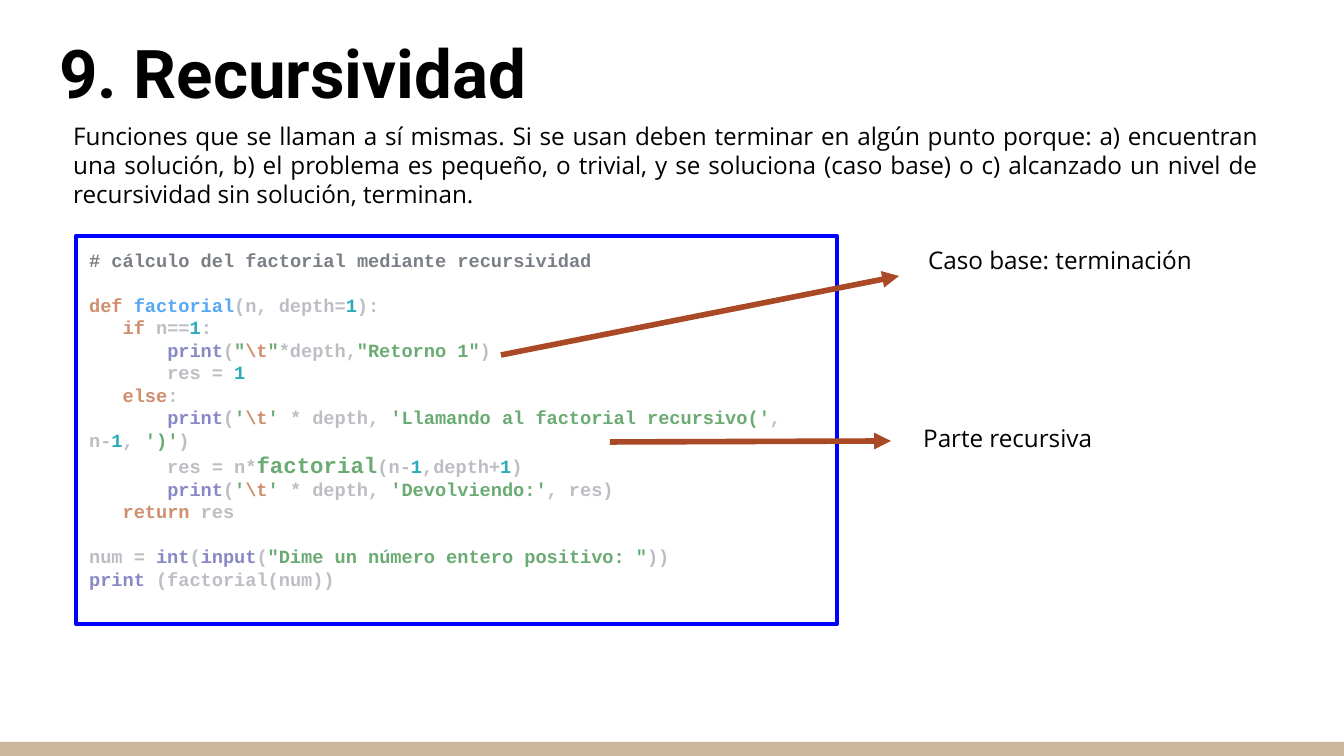
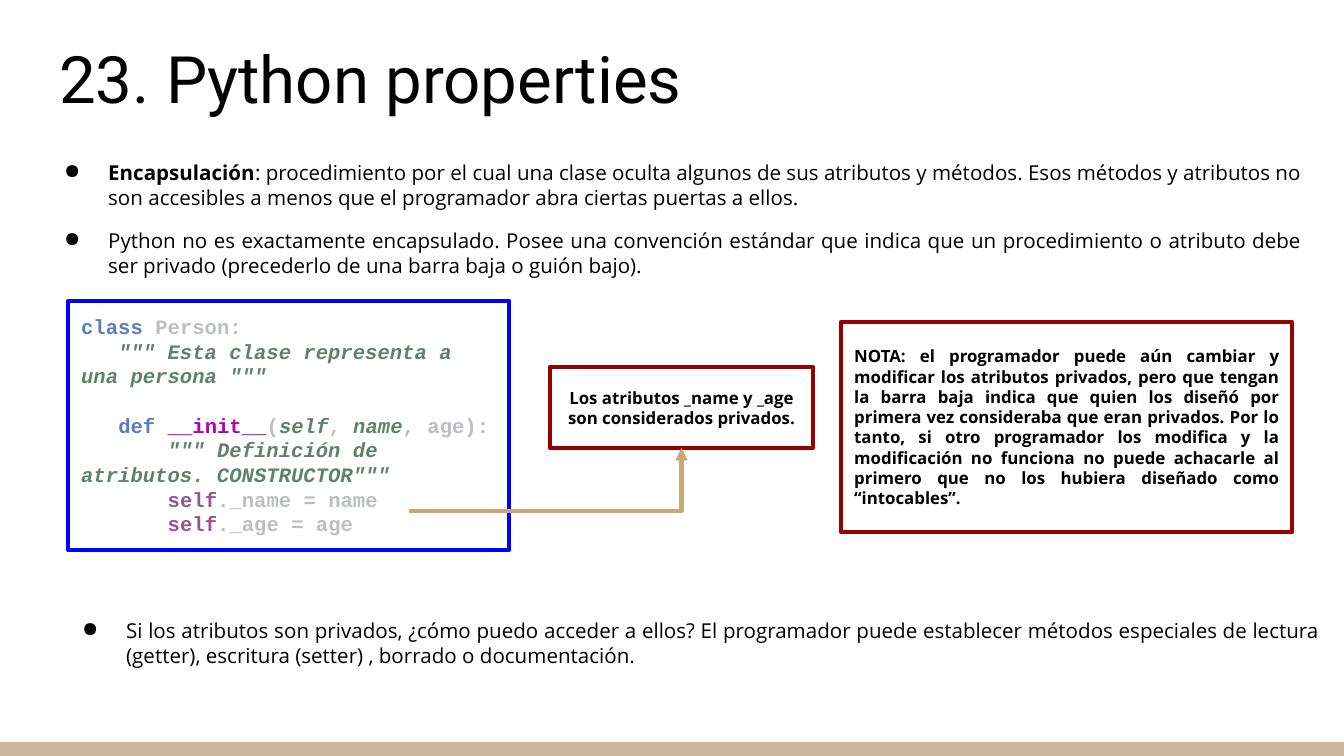
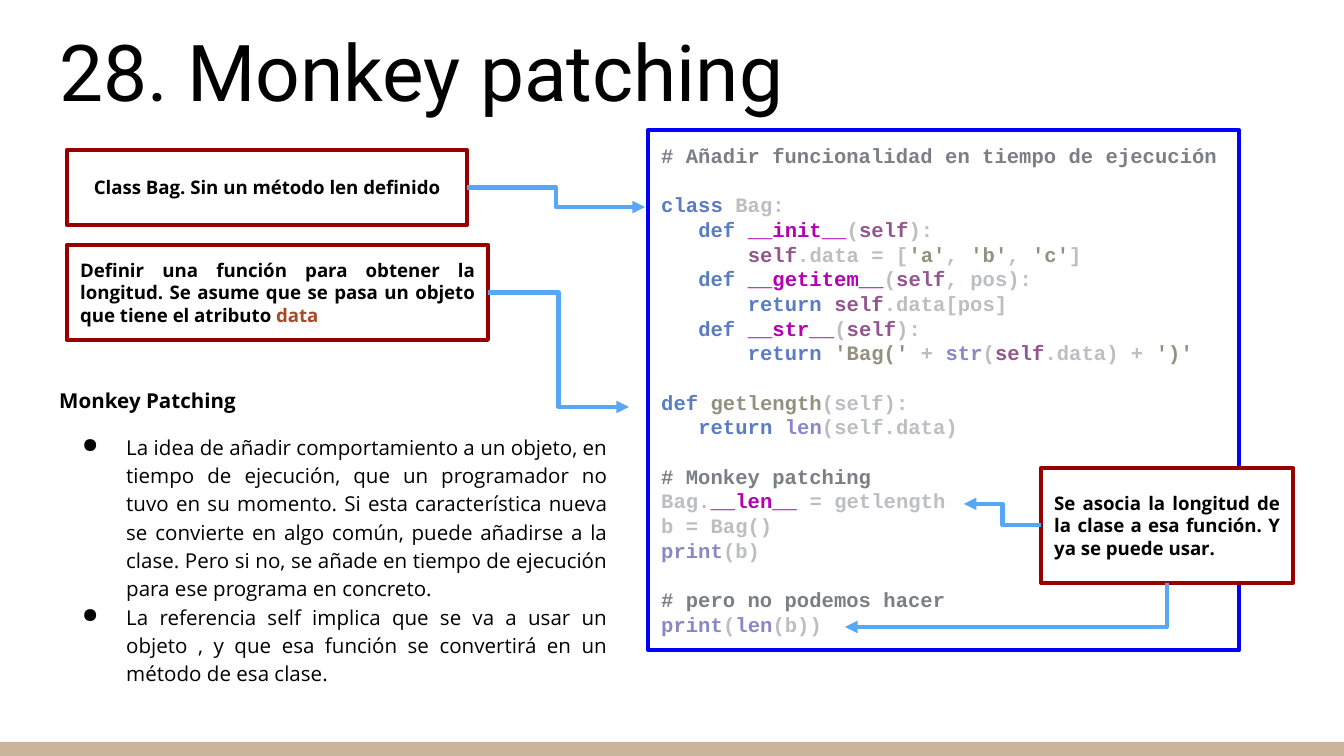
import dataclasses
import functools
import typing

import lxml.etree
import pptx
import pptx.dml.color
import pptx.enum.shapes
import pptx.enum.text
import pptx.oxml.ns
import pptx.util

WIDE, HIGH = 1344, 756
SCALE = 9144000 / WIDE
ALIGN = pptx.enum.text.PP_ALIGN
ANCHOR = pptx.enum.text.MSO_ANCHOR
LINK = pptx.enum.shapes.MSO_CONNECTOR
RECT = pptx.enum.shapes.MSO_SHAPE.RECTANGLE
qn = pptx.oxml.ns.qn


@dataclasses.dataclass(frozen=True)
class Theme:
    head: str = "Roboto"
    body: str = "Open Sans"
    mono: str = "Courier New"
    black: str = "000000"
    white: str = "FFFFFF"
    sand: str = "CCB69B"
    tan: str = "CCA677"
    frame: str = "0000FF"
    red: str = "980000"
    rust: str = "AA4926"
    sky: str = "56A8F5"
    grey: str = "7A7E85"
    pale: str = "BCBEC4"
    peach: str = "CF8E6D"
    teal: str = "2AACB8"
    green: str = "6AAB73"
    mauve: str = "8888C6"
    blue: str = "597CC2"
    moss: str = "5F826B"
    pink: str = "B200B2"
    plum: str = "94558D"
    olive: str = "94907F"
    lead: int = 13
    text: int = 11
    note: int = 10
    small: int = 9
    big: int = 12
    edge: float = 2.25
    thick: float = 3
    pitch: float = 1.2
    gap: int = 10
    loose: float = 1.15


T = Theme()


class Area(typing.NamedTuple):
    x: int
    y: int
    w: int
    h: int


class Pad(typing.NamedTuple):
    top: int = 13
    foot: int = 13


@dataclasses.dataclass(frozen=True)
class Run:
    text: str
    hue: str = T.black
    bold: bool = False
    slant: bool = False
    size: int = 0


@dataclasses.dataclass(frozen=True)
class Para:
    runs: typing.Sequence[Run]
    align: ALIGN = ALIGN.JUSTIFY
    dot: bool = False
    before: float = 0
    space: float = 1


@dataclasses.dataclass(frozen=True)
class Arrow:
    start: tuple[int, int]
    end: tuple[int, int]
    hue: str = T.sky
    width: float = T.edge
    kind: str = "bentConnector3"
    turned: bool = False


Code = list[list[list[Run]]]


def px(n: float) -> int:
    return round(n * SCALE)


def rgb(hue: str) -> pptx.dml.color.RGBColor:
    return pptx.dml.color.RGBColor.from_string(hue)


def add(parent, tag: str, **attrs: str):
    return lxml.etree.SubElement(parent, qn(tag), attrs)


def mark(para) -> None:
    props = para._p.get_or_add_pPr()
    props.set("marL", str(px(67)))
    props.set("indent", str(px(-44)))
    add(add(props, "a:buClr"), "a:srgbClr", val=T.black)
    add(props, "a:buChar", char="●")


def write(shape, paras: typing.Sequence[Para], font: str, size: int,
          anchor: ANCHOR = ANCHOR.MIDDLE, pad: Pad = Pad()) -> None:
    frame = shape.text_frame
    frame.word_wrap = True
    frame.vertical_anchor = anchor
    frame.margin_left = frame.margin_right = px(13.44)
    frame.margin_top, frame.margin_bottom = px(pad.top), px(pad.foot)
    for i, item in enumerate(paras):
        para = frame.add_paragraph() if i else frame.paragraphs[0]
        if item.dot:
            mark(para)
        para.alignment = item.align
        para.line_spacing = item.space
        para.space_before = pptx.util.Pt(item.before)
        para.space_after = pptx.util.Pt(0)
        for part in item.runs:
            run = para.add_run()
            run.text = part.text
            run.font.name = font
            run.font.size = pptx.util.Pt(part.size or size)
            run.font.bold = part.bold
            run.font.italic = part.slant
            run.font.color.rgb = rgb(part.hue)


def block(slide, area: Area, fill: str, edge: str = ""):
    shape = slide.shapes.add_shape(RECT, *map(px, area))
    shape.shadow.inherit = False
    shape.fill.solid()
    shape.fill.fore_color.rgb = rgb(fill)
    if edge:
        shape.line.color.rgb = rgb(edge)
        shape.line.width = pptx.util.Pt(T.edge)
        add(shape.element.spPr.find(qn("a:ln")), "a:round")
    else:
        shape.line.fill.background()
    return shape


def prose(slide, area: Area, paras: typing.Sequence[Para], size: int = T.text,
          font: str = T.body, anchor: ANCHOR = ANCHOR.MIDDLE,
          pad: Pad = Pad(0, 22)) -> None:
    box = slide.shapes.add_textbox(*map(px, area))
    write(box, paras, font, size, anchor, pad)


def label(slide, area: Area, text: str) -> None:
    prose(slide, area, [Para([Run(text)])], T.lead, anchor=ANCHOR.TOP, pad=Pad(0, 0))


def card(slide, area: Area, runs: list[Run], size: int = T.note,
         align: ALIGN = ALIGN.JUSTIFY):
    shape = block(slide, area, T.white, T.red)
    bold = [dataclasses.replace(run, bold=True) for run in runs]
    write(shape, [Para(bold, align)], T.body, size)
    return shape


def listing(slide, area: Area, code: Code, size: int = T.text) -> None:
    paras = [Para([dataclasses.replace(run, bold=True) for run in line], ALIGN.LEFT,
                  before=size * T.pitch if b and not i else 0)
             for b, part in enumerate(code) for i, line in enumerate(part)]
    write(block(slide, area, T.white, T.frame), paras, T.mono, size, ANCHOR.TOP)


def draw(slide, arrow: Arrow, source=None, side: int = 3, target=None) -> None:
    (x, y), (u, v) = arrow.start, arrow.end
    kind = LINK.STRAIGHT if arrow.kind == "line" else LINK.ELBOW
    link = slide.shapes.add_connector(kind, px(x), px(y), px(u), px(v))
    if source is not None:
        link.begin_connect(source, side)
    if target is not None:
        link.end_connect(target, 2)
    link.line.color.rgb = rgb(arrow.hue)
    link.line.width = pptx.util.Pt(arrow.width)
    props = link.element.spPr
    add(props.find(qn("a:ln")), "a:tailEnd", type="triangle")
    add(props, "a:effectLst")
    props.find(qn("a:prstGeom")).set("prst", arrow.kind)
    if arrow.turned:
        w, h = abs(v - y), abs(u - x)
        form = props.find(qn("a:xfrm"))
        form.attrib.pop("flipH", None)
        form.set("rot", "5400000")
        link.left, link.top = px((x + u - w) / 2), px((y + v - h) / 2)
        link.width, link.height = px(w), px(h)


def start(deck, title: str, top: int, high: int, size: int, bold: bool = False):
    slide = deck.slides.add_slide(deck.slide_layouts[6])
    block(slide, Area(0, 742, WIDE, 14), T.sand)
    prose(slide, Area(46, top, 1253, high), [Para([Run(title, bold=bold)], ALIGN.LEFT)],
          size, T.head, ANCHOR.BOTTOM, Pad())
    return slide


tint = functools.partial(functools.partial, Run)
grey, pale, peach, sky = (tint(hue=h) for h in (T.grey, T.pale, T.peach, T.sky))
teal, green, mauve, blue = (tint(hue=h) for h in (T.teal, T.green, T.mauve, T.blue))
pink, plum, olive = (tint(hue=h) for h in (T.pink, T.plum, T.olive))
moss = tint(hue=T.moss, slant=True)
STEP, DEEP = pale("   "), pale("       ")
TAB = [DEEP, mauve("print"), pale("("), green("'"), peach("\\t"), green("' "),
       pale("* depth, ")]


def method(name: str, rest: str) -> list[Run]:
    return [STEP, blue("def "), pink(name), pale("("), plum("self"), pale(rest)]


FACT: Code = [
    [[grey("# cálculo del factorial mediante recursividad")]],
    [
        [peach("def "), sky("factorial"), pale("(n, depth="), teal("1"), pale("):")],
        [STEP, peach("if "), pale("n=="), teal("1"), pale(":")],
        [DEEP, mauve("print"), pale("("), green('"'), peach("\\t"), green('"'),
         pale("*depth,"), green('"Retorno 1"'), pale(")")],
        [DEEP, pale("res = "), teal("1")],
        [STEP, peach("else"), pale(":")],
        [*TAB, green("'Llamando al factorial recursivo('"), pale(", n-"), teal("1"),
         pale(", "), green("')'"), pale(")")],
        [DEEP, pale("res = n*"), green("factorial", size=T.big), pale("(n-"), teal("1"),
         pale(",depth+"), teal("1"), pale(")")],
        [*TAB, green("'Devolviendo:'"), pale(", res)")],
        [STEP, peach("return "), pale("res")],
    ],
    [
        [pale("num = "), mauve("int"), pale("("), mauve("input"), pale("("),
         green('"Dime un número entero positivo: "'), pale("))")],
        [mauve("print "), pale("(factorial(num))")],
    ],
]

PERSON: Code = [
    [
        [blue("class "), pale("Person:")],
        [STEP, moss('""" Esta clase representa a una persona """')],
    ],
    [
        [STEP, blue("def "), pink("__init__"), pale("("), moss("self"), pale(", "),
         moss("name"), pale(", age):")],
        [DEEP, moss('""" Definición de atributos. CONSTRUCTOR"""')],
        [DEEP, plum("self"), pale("._name = name")],
        [DEEP, plum("self"), pale("._age = age")],
    ],
]

BAG: Code = [
    [[grey("# Añadir funcionalidad en tiempo de ejecución")]],
    [
        [blue("class "), pale("Bag:")],
        method("__init__", "):"),
        [DEEP, plum("self"), pale(".data = ["), olive("'a'"), pale(", "), olive("'b'"),
         pale(", "), olive("'c'"), pale("]")],
        method("__getitem__", ", pos):"),
        [DEEP, blue("return "), plum("self"), pale(".data[pos]")],
        method("__str__", "):"),
        [DEEP, blue("return "), olive("'Bag(' "), pale("+ "), mauve("str"), pale("("),
         plum("self"), pale(".data) + "), olive("')'")],
    ],
    [
        [blue("def "), olive("getlength"), pale("(self):")],
        [STEP, blue("return "), mauve("len"), pale("(self.data)")],
    ],
    [
        [grey("# Monkey patching")],
        [pale("Bag."), pink("__len__ "), pale("= getlength")],
        [pale("b = Bag()")],
        [mauve("print"), pale("(b)")],
    ],
    [
        [grey("# pero no podemos hacer")],
        [mauve("print"), pale("("), mauve("len"), pale("(b))")],
    ],
]


def recurse(deck) -> None:
    slide = start(deck, "9. Recursividad", 47, 78, 36, True)
    prose(slide, Area(60, 112, 1210, 132), [Para([Run(
        "Funciones que se llaman a sí mismas. Si se usan deben terminar en algún punto "
        "porque: a) encuentran una solución, b) el problema es pequeño, o trivial, y se "
        "soluciona (caso base) o c) alcanzado un nivel de recursividad sin solución, "
        "terminan.")])], T.lead, pad=Pad(0, 27))
    listing(slide, Area(76, 236, 761, 388), FACT, T.note)
    shaft = functools.partial(Arrow, hue=T.rust, width=T.thick, kind="line")
    draw(slide, shaft((501, 355), (899, 276)))
    label(slide, Area(915, 245, 327, 38), "Caso base: terminación")
    draw(slide, shaft((610, 442), (891, 441)))
    label(slide, Area(910, 423, 327, 56), "Parte recursiva")


def private(deck) -> None:
    slide = start(deck, "23. Python properties", 8, 122, 35)
    prose(slide, Area(28, 140, 1288, 179), [
        Para([Run("Encapsulación", bold=True), Run(
            ": procedimiento por el cual una clase oculta algunos de sus atributos y "
            "métodos. Esos métodos y atributos no son accesibles a menos que el "
            "programador abra ciertas puertas a ellos.")], dot=True),
        Para([Run(
            "Python no es exactamente encapsulado. Posee una convención estándar que "
            "indica que un procedimiento o atributo debe ser privado (precederlo de una "
            "barra baja o guión bajo).")], dot=True, before=T.gap)])
    listing(slide, Area(68, 301, 441, 249), PERSON)
    names = card(slide, Area(550, 367, 263, 81),
                 [Run("Los atributos _name y _age son considerados privados.")],
                 T.small, ALIGN.CENTER)
    draw(slide, Arrow((409, 511), (681, 448), T.tan, kind="bentConnector2"), target=names)
    card(slide, Area(841, 322, 451, 210), [Run(
        "NOTA: el programador puede aún cambiar y modificar los atributos privados, pero "
        "que tengan la barra baja indica que quien los diseñó por primera vez consideraba "
        "que eran privados. Por lo tanto, si otro programador los modifica y la "
        "modificación no funciona no puede achacarle al primero que no los hubiera "
        "diseñado como “intocables”.")], T.small)
    prose(slide, Area(46, 564, 1288, 179), [Para([Run(
        "Si los atributos son privados, ¿cómo puedo acceder a ellos? El programador puede "
        "establecer métodos especiales de lectura (getter), escritura (setter) , borrado "
        "o documentación.")], dot=True)])


def patching(deck) -> None:
    slide = start(deck, "28. Monkey patching", 47, 83, 42)
    prose(slide, Area(46, 391, 575, 310), [
        Para([Run("Monkey Patching", bold=True)], space=T.loose),
        Para([Run(
            "La idea de añadir comportamiento a un objeto, en tiempo de ejecución, que un "
            "programador no tuvo en su momento. Si esta característica nueva se convierte "
            "en algo común, puede añadirse a la clase. Pero si no, se añade en tiempo de "
            "ejecución para ese programa en concreto.")],
            dot=True, before=T.gap, space=T.loose),
        Para([Run(
            "La referencia self implica que se va a usar un objeto , y que esa función se "
            "convertirá en un método de esa clase.")], dot=True, space=T.loose)])
    listing(slide, Area(648, 130, 591, 520), BAG)
    plain = card(slide, Area(67, 150, 400, 75),
                 [Run("Class Bag. Sin un método len definido")], align=ALIGN.CENTER)
    draw(slide, Arrow((467, 188), (645, 207)), plain)
    length = card(slide, Area(67, 245, 421, 95), [
        Run("Definir una función para obtener la longitud. Se asume que se pasa un objeto "
            "que tiene el atributo "), Run("data", T.rust)])
    draw(slide, Arrow((488, 293), (629, 407)), length)
    bind = card(slide, Area(1041, 468, 252, 115), [Run(
        "Se asocia la longitud de la clase a esa función. Y ya se puede usar.")])
    draw(slide, Arrow((1041, 525), (964, 504)), bind, 1)
    draw(slide, Arrow((1167, 583), (845, 627), kind="bentConnector2", turned=True), bind, 2)


def main() -> None:
    deck = pptx.Presentation()
    deck.slide_width, deck.slide_height = px(WIDE), px(HIGH)
    for build in (recurse, private, patching):
        build(deck)
    deck.save("out.pptx")


if __name__ == "__main__":
    main()
